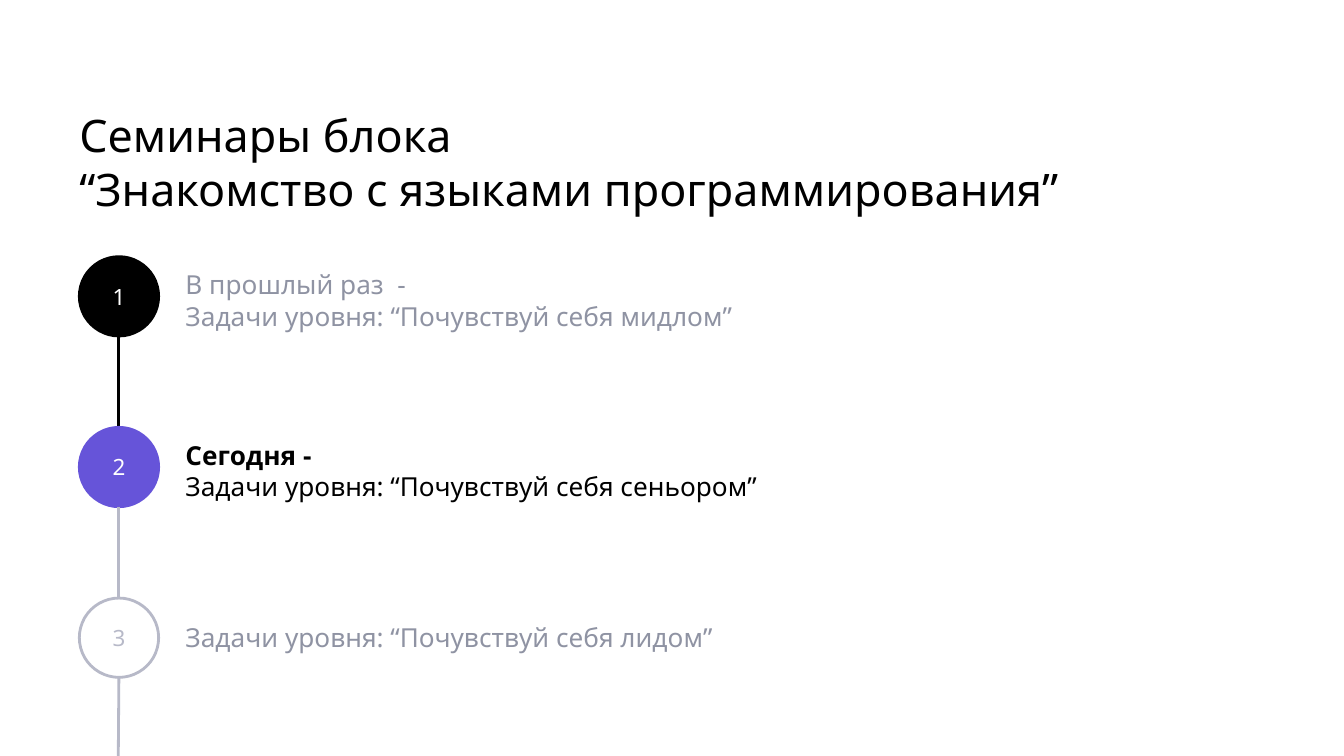
from pptx import Presentation
from pptx.dml.color import RGBColor
from pptx.enum import shapes, text
from pptx.oxml.ns import qn
from pptx.util import Inches, Pt
from lxml import etree

FONT = "Noto Sans"
HUES = {"black": "000000", "white": "FFFFFF", "violet": "6654D9",
        "pale": "B7B9C8", "gray": "8F93A3"}
LEFT, TOP, SIZE, STEP = 0.59, 1.9, 0.6, 1.27
TOP, SIZE = 1.91, 0.59
MID = LEFT + SIZE / 2


def hue(name):
    return RGBColor.from_string(HUES[name])


def style(para, size, color, bold=False):
    for run in para.runs:
        run.font.name = FONT
        run.font.size = Pt(size)
        run.font.bold = bold
        run.font.color.rgb = hue(color)


def label(slide, box, lines, size, color, pads, bold=False):
    """Text box; bold applies to the first line only."""
    frame = slide.shapes.add_textbox(*map(Inches, box)).text_frame
    frame.word_wrap = True
    frame.margin_left, frame.margin_top, frame.margin_right, frame.margin_bottom = map(Inches, pads)
    frame.text = "\n".join(lines)
    for i, para in enumerate(frame.paragraphs):
        para.line_spacing = 1.0
        style(para, size, color, bold and i == 0)


def badge(slide, num, top, fill, edge, ink):
    dot = slide.shapes.add_shape(shapes.MSO_SHAPE.OVAL, *map(Inches, (LEFT, top, SIZE, SIZE)))
    dot.shadow.inherit = False
    dot.fill.solid()
    dot.fill.fore_color.rgb = hue(fill)
    dot.line.color.rgb = hue(edge)
    dot.line.width = Pt(1.5)
    frame = dot.text_frame
    frame.margin_left = frame.margin_right = Inches(0.1)
    frame.margin_top = frame.margin_bottom = Inches(0.1)
    frame.vertical_anchor = text.MSO_ANCHOR.MIDDLE
    frame.text = str(num)
    para = frame.paragraphs[0]
    para.alignment = text.PP_ALIGN.CENTER
    style(para, 12, ink)


def link(slide, start, end, color):
    line = slide.shapes.add_connector(shapes.MSO_CONNECTOR.STRAIGHT, *map(Inches, start + end))
    line.line.color.rgb = hue(color)
    line.line.width = Pt(1.5)
    etree.SubElement(line._element.spPr, qn("a:effectLst"))


def main():
    deck = Presentation()
    deck.slide_width = Inches(10)
    deck.slide_height = deck.slide_width * 9 // 16
    slide = deck.slides.add_slide(deck.slide_layouts[6])

    # Title
    label(slide, (LEFT, 0.79, 8.82, 0.35),
          ["Семинары блока ", "“Знакомство с языками программирования”"],
          24, "black", (0, 0.01, 0, 0))

    # Seminars: top, fill, edge, number colour, link colour, text box, text colour, bold, lines
    steps = [
        ("black", "black", "white", "black", (1.38, 1.9, 5.79, 0.61), "gray", False,
         ["В прошлый раз  - ", "Задачи уровня: “Почувствуй себя мидлом”"]),
        ("violet", "violet", "white", "pale", (1.38, 3.17, 4.86, 0.59), "black", True,
         ["Сегодня -", "Задачи уровня: “Почувствуй себя сеньором”"]),
        ("white", "pale", "pale", "pale", (1.38, 4.52, 4.93, 0.41), "gray", False,
         ["Задачи уровня: “Почувствуй себя лидом”"]),
    ]
    for i, (fill, edge, ink, tie, box, color, bold, lines) in enumerate(steps):
        top = TOP + i * STEP
        badge(slide, i + 1, top, fill, edge, ink)
        label(slide, box, lines, 14, color, (0, 0.1, 0.1, 0.1), bold)
        # The last link runs off the bottom edge
        end = (MID, top + STEP) if i < len(steps) - 1 else (0.88, 5.64)
        link(slide, (MID, top + SIZE), end, tie)

    deck.save("out.pptx")


main()
